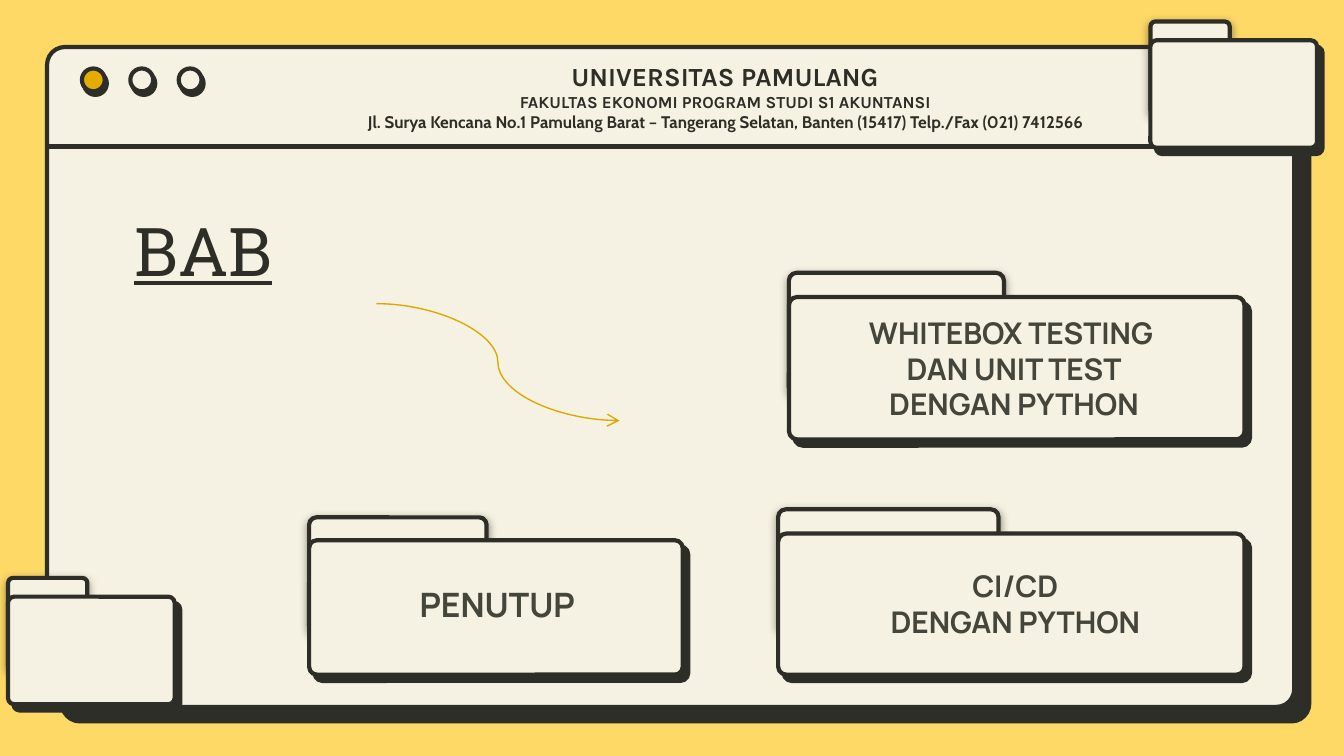
from dataclasses import dataclass

from lxml import etree
from pptx import Presentation
from pptx import util as u
from pptx.dml import color
from pptx.enum import shapes, text
from pptx.oxml import ns


@dataclass(frozen=True)
class Theme:
    yellow: str = "FFD966"
    cream: str = "F6F2E3"
    dark: str = "2D2E27"
    label: str = "44453B"
    gold: str = "E4AB00"
    arrow: str = "DFA700"
    outline: float = 2.25
    thin: float = 0.75
    chapter_size: int = 36
    label_size: int = 16
    closing_size: int = 18
    heading_size: int = 14
    detail_size: int = 9


THEME = Theme()
# Shadows: opacity %, blur pt, distance pt, angle in degrees
WINDOW_SHADOW = (100, 0, 11.2, 44)
BUTTON_SHADOW = (100, 0, 2.2, 60)
TAB_SHADOW = (50, 4.5, 1.5, 90)
FOLDER_SHADOW = (100, 0, 4.5, 49)


def rgb(value):
    return color.RGBColor.from_string(value)


def add_effects(shape, shadow=None):
    """Give the shape its own effect list, empty or with one outer shadow."""
    effects = etree.SubElement(shape._element.spPr, ns.qn("a:effectLst"))
    if shadow:
        opacity, blur, distance, angle = shadow
        outer = etree.SubElement(
            effects, ns.qn("a:outerShdw"), blurRad=str(int(u.Pt(blur))),
            dist=str(int(u.Pt(distance))), dir=str(angle * 60000),
            algn="bl", rotWithShape="0")
        tint = etree.SubElement(outer, ns.qn("a:srgbClr"), val=THEME.dark)
        etree.SubElement(tint, ns.qn("a:alpha"), val=str(opacity * 1000))


def add_panel(page, kind, area, shadow, corner=None, fill=THEME.cream):
    panel = page.shapes.add_shape(kind, *map(u.Inches, area))
    if corner is not None:
        panel.adjustments[0] = corner
    panel.fill.solid()
    panel.fill.fore_color.rgb = rgb(fill)
    panel.line.color.rgb = rgb(THEME.dark)
    panel.line.width = u.Pt(THEME.outline)
    add_effects(panel, shadow)


def add_folder(page, left, top, tab_size, front_drop, front_size):
    """A folder is a tab with a larger front card over it."""
    card = shapes.MSO_SHAPE.ROUNDED_RECTANGLE
    add_panel(page, card, (left, top, *tab_size), TAB_SHADOW, 0.063)
    add_panel(page, card, (left, top + front_drop, *front_size),
              FOLDER_SHADOW, 0.058)


def add_line(page, kind, start, end, tint, width):
    line = page.shapes.add_connector(kind, *map(u.Inches, (*start, *end)))
    line.line.color.rgb = rgb(tint)
    line.line.width = u.Pt(width)
    add_effects(line)
    return line


def add_text(page, area, lines, tint, align=text.PP_ALIGN.CENTER,
             anchor=text.MSO_ANCHOR.MIDDLE, bold=True, underline=False,
             indented=True):
    """Lines are (words, font, size), one paragraph each."""
    box = page.shapes.add_textbox(*map(u.Inches, area))
    frame = box.text_frame
    frame.word_wrap = True
    frame.vertical_anchor = anchor
    frame.margin_left = frame.margin_right = u.Inches(0.1)
    frame.margin_top = frame.margin_bottom = u.Inches(0.1)
    for number, (words, font, size) in enumerate(lines):
        para = frame.add_paragraph() if number else frame.paragraphs[0]
        para.alignment = align
        if indented:
            properties = para._p.get_or_add_pPr()
            properties.set("marL", str(int(u.Inches(0.5))))
            properties.set("indent", str(int(u.Inches(-0.35))))
        span = para.add_run()
        span.text = words
        span.font.name = font
        span.font.size = u.Pt(size)
        span.font.bold = bold
        span.font.underline = underline
        span.font.color.rgb = rgb(tint)


def add_label(page, area, lines, size=THEME.label_size):
    add_text(page, area, [(words, "Manrope", size) for words in lines],
             THEME.label)


def add_window(page):
    add_panel(page, shapes.MSO_SHAPE.ROUNDED_RECTANGLE,
              (0.35, 0.35, 9.28, 4.91), WINDOW_SHADOW, 0.027)
    add_line(page, shapes.MSO_CONNECTOR.STRAIGHT, (9.64, 1.09), (0.36, 1.09),
             THEME.dark, THEME.outline)
    for number, fill in enumerate((THEME.gold, THEME.cream, THEME.cream)):
        add_panel(page, shapes.MSO_SHAPE.OVAL,
                  (0.61 + 0.36 * number, 0.51, 0.17, 0.17),
                  BUTTON_SHADOW, fill=fill)


def main():
    # Widescreen page, 16 by 9
    deck = Presentation()
    deck.slide_width = u.Inches(10)
    deck.slide_height = u.Inches(10 * 9 / 16)
    page = deck.slides.add_slide(deck.slide_layouts[6])
    page.background.fill.solid()
    page.background.fill.fore_color.rgb = rgb(THEME.yellow)

    # Browser window with two corner folders
    add_window(page)
    for left, top in ((8.56, 0.16), (0.06, 4.3)):
        add_folder(page, left, top, (0.59, 0.69), 0.14, (1.24, 0.8))

    # Topic folders
    add_folder(page, 5.79, 3.79, (1.64, 0.9), 0.18, (3.47, 1.05))
    add_folder(page, 5.87, 2.03, (1.6, 0.91), 0.18, (3.39, 1.06))
    add_folder(page, 2.3, 3.85, (1.32, 0.86), 0.17, (2.78, 1))

    # Folder labels
    add_label(page, (5.45, 2.28, 4.04, 0.92),
              ["WHITEBOX TESTING ", "DAN UNIT TEST", "DENGAN PYTHON"])
    add_label(page, (5.71, 3.94, 3.54, 1.1), ["CI/CD", "DENGAN PYTHON"])
    add_label(page, (2.09, 3.95, 3.07, 1.09), ["PENUTUP"], THEME.closing_size)

    # Letterhead and chapter title
    add_text(page, (1.93, 0.37, 6.93, 0.71), [
        ("UNIVERSITAS PAMULANG", "Karla", THEME.heading_size),
        ("FAKULTAS EKONOMI PROGRAM STUDI S1 AKUNTANSI", "Karla",
         THEME.detail_size),
        ("Jl. Surya Kencana No.1 Pamulang Barat – Tangerang Selatan, "
         "Banten (15417) Telp./Fax (021) 7412566", "Cabin",
         THEME.detail_size),
    ], THEME.dark, anchor=text.MSO_ANCHOR.BOTTOM, indented=False)
    add_text(page, (0.75, 1.24, 4.88, 1.23),
             [("BAB", "Roboto Slab", THEME.chapter_size)], THEME.dark,
             align=text.PP_ALIGN.LEFT, bold=False, underline=True)

    # Curved arrow towards the topics
    arrow = add_line(page, shapes.MSO_CONNECTOR.CURVE, (2.8, 2.26),
                     (4.61, 3.13), THEME.arrow, THEME.thin)
    etree.SubElement(arrow.get_or_add_ln(), ns.qn("a:tailEnd"),
                     type="arrow", w="med", len="med")

    deck.save("out.pptx")


if __name__ == "__main__":
    main()
